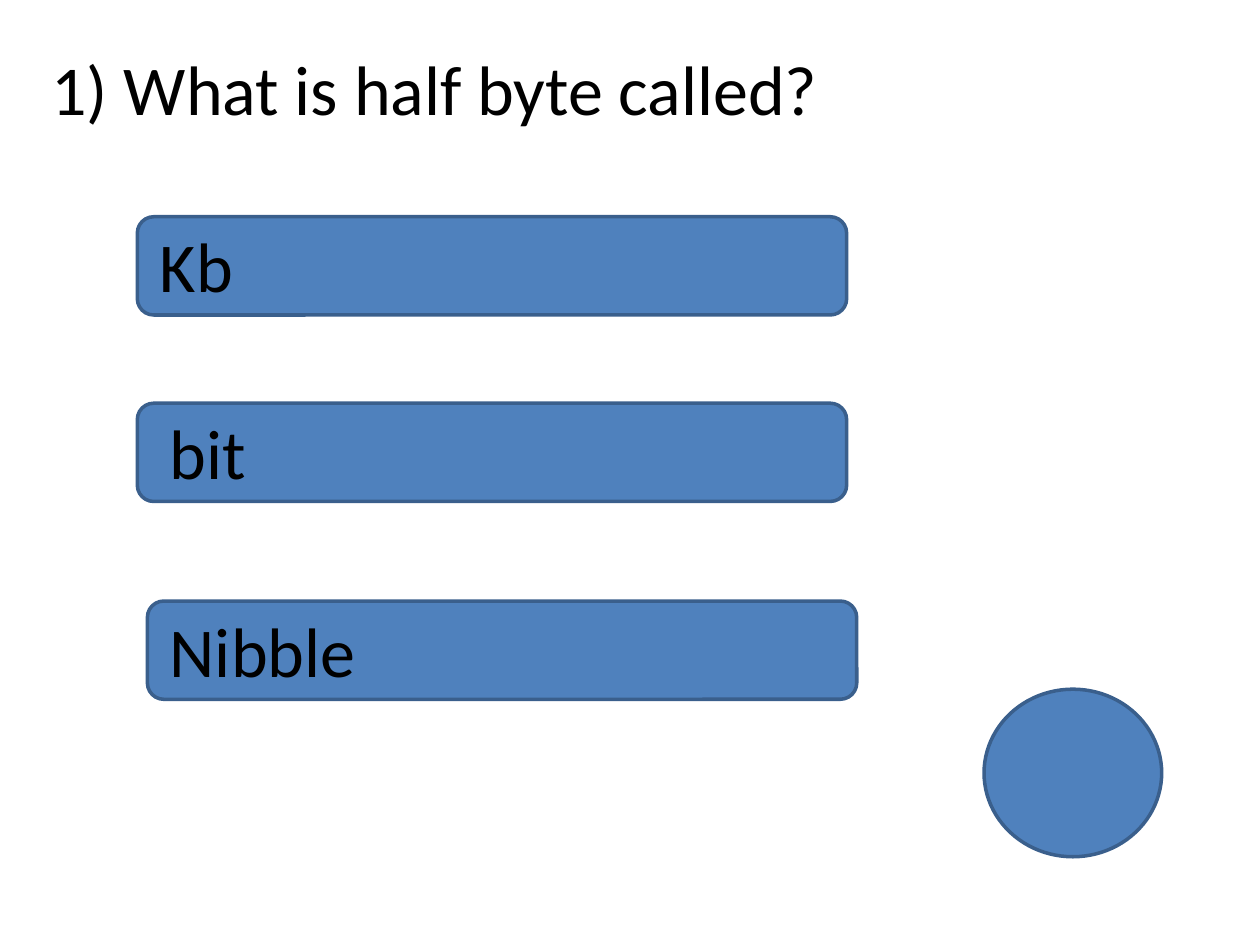
from dataclasses import dataclass

from pptx import Presentation
from pptx.dml.color import RGBColor
from pptx.enum.shapes import MSO_SHAPE
from pptx.enum.text import MSO_AUTO_SIZE
from pptx.util import Inches, Pt


@dataclass(frozen=True)
class Theme:
    """Colours, font and sizes of the quiz."""
    fill: RGBColor = RGBColor(0x4F, 0x81, 0xBD)
    outline: RGBColor = RGBColor(0x3A, 0x5F, 0x8C)
    ink: RGBColor = RGBColor(0, 0, 0)
    font: str = "Calibri"
    text_size: int = 40
    line_width: int = 2


class QuizSlide:
    """Draws quiz elements on one slide in one style."""

    def __init__(self, slide, theme):
        self.slide = slide
        self.theme = theme

    def shape(self, kind, left, top, width, height):
        shape = self.slide.shapes.add_shape(
            kind, Inches(left), Inches(top), Inches(width), Inches(height))
        shape.shadow.inherit = False
        shape.fill.solid()
        shape.fill.fore_color.rgb = self.theme.fill
        shape.line.color.rgb = self.theme.outline
        shape.line.width = Pt(self.theme.line_width)

    def text(self, words, left, top, width, height=0.77):
        box = self.slide.shapes.add_textbox(
            Inches(left), Inches(top), Inches(width), Inches(height))
        frame = box.text_frame
        frame.word_wrap = True
        frame.auto_size = MSO_AUTO_SIZE.SHAPE_TO_FIT_TEXT
        frame.text = words
        font = frame.paragraphs[0].runs[0].font
        font.name = self.theme.font
        font.size = Pt(self.theme.text_size)
        font.color.rgb = self.theme.ink

    def answer(self, words, top, bar_left, text_left, text_width):
        self.shape(MSO_SHAPE.ROUNDED_RECTANGLE, bar_left, top, 5.63, 0.78)
        self.text(words, text_left, top, text_width)


deck = Presentation()
deck.slide_width = Inches(10)
deck.slide_height = Inches(7.5)
page = QuizSlide(deck.slides.add_slide(deck.slide_layouts[6]), Theme())

page.text("1) What is half byte called?", 0.31, 0.31, 9.06)
for words, top, bar_left, text_left, text_width in (
    ("Kb", 1.72, 1.09, 1.17, 5.55),
    ("bit", 3.2, 1.09, 1.25, 5.08),
    ("Nibble", 4.77, 1.17, 1.25, 5.08),
):
    page.answer(words, top, bar_left, text_left, text_width)
page.shape(MSO_SHAPE.OVAL, 7.81, 5.47, 1.41, 1.33)

deck.save("out.pptx")
